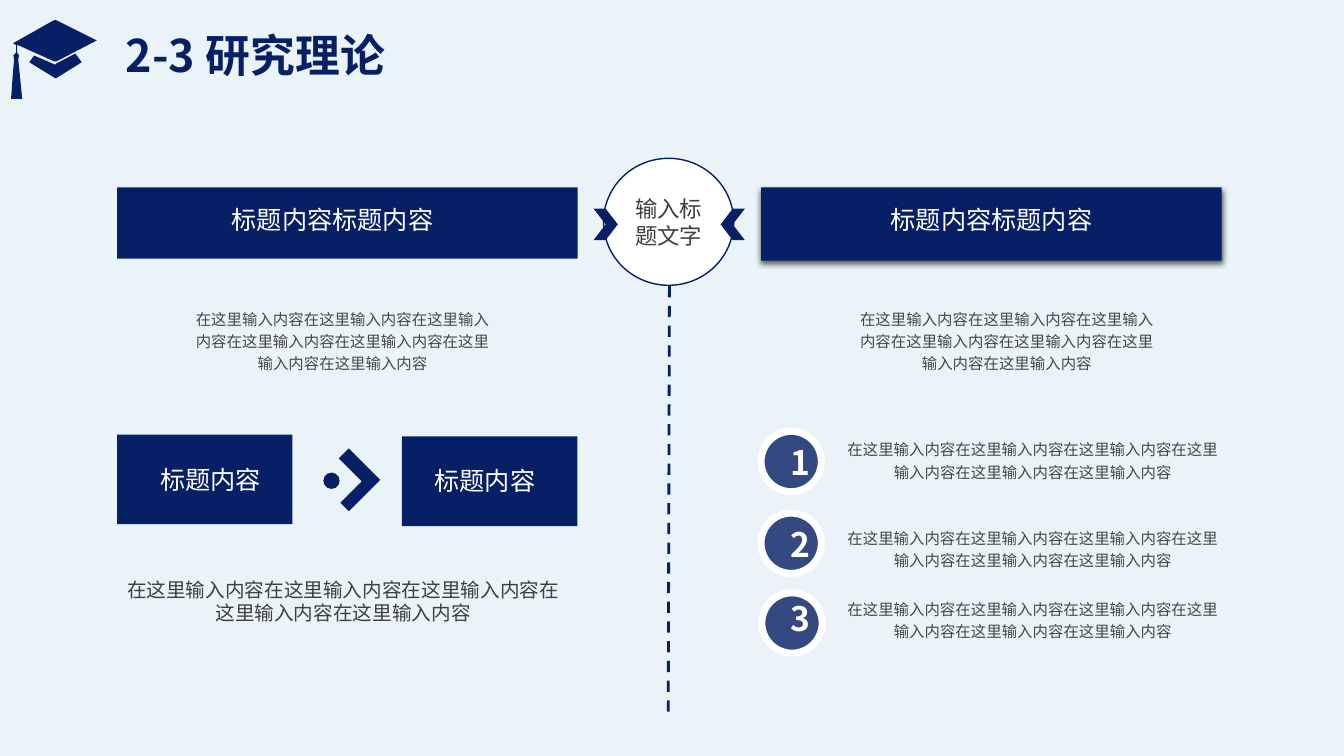
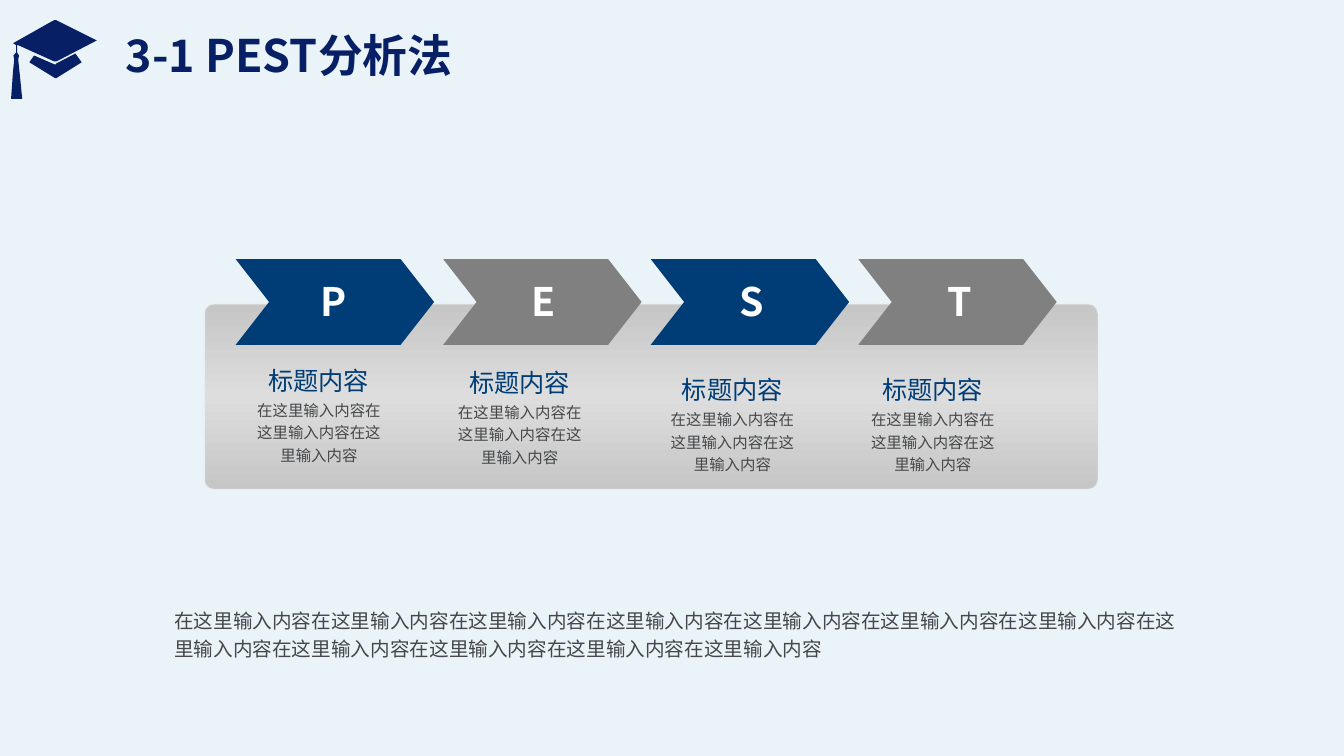
"""Build two thesis slides: research theory and PEST analysis."""
from copy import deepcopy

from lxml.etree import SubElement
from pptx import Presentation
from pptx.dml.color import RGBColor
from pptx.enum.dml import MSO_LINE
from pptx.enum.shapes import MSO_CONNECTOR, MSO_SHAPE as SHAPE
from pptx.enum.text import MSO_ANCHOR as ANCHOR, MSO_AUTO_SIZE as AUTO, PP_ALIGN as ALIGN
from pptx.oxml.ns import qn
from pptx.util import Cm, Pt

FONT = "Noto Sans CJK SC"
BACK = RGBColor(0xEA, 0xF4, 0xF8)
NAVY = RGBColor(0x07, 0x1F, 0x65)
BLUE = RGBColor(0x00, 0x3D, 0x76)
GRAY = RGBColor(0x80, 0x80, 0x80)
WHITE = RGBColor(0xFF, 0xFF, 0xFF)
DARK = RGBColor(0x3D, 0x3F, 0x41)
TEXT = RGBColor(0x45, 0x47, 0x49)
SILVER = RGBColor(0xC6, 0xC6, 0xC6)
LIGHT = RGBColor(0xDD, 0xDD, 0xDD)

PHRASE = "在这里输入内容"
HEAD = "标题内容"
CAP = [
    [(43, 114), (43, 132), (48, 140), (46, 150), (51, 198), (56, 249), (28, 249),
     (33, 178), (36, 150), (34, 140), (41, 132), (41, 114), (33, 109), (127, 56),
     (137, 51), (142, 51), (244, 102), (142, 155), (137, 155), (46, 114)],
    [(74, 157), (86, 140), (139, 163), (142, 160), (190, 135), (206, 157),
     (142, 197), (139, 197)],
]

BARS = [
    {"bar": (2.95, 4.72, 11.61, 1.8), "label": 5.79, "note": 4.85, "shadow": False},
    {"bar": (19.18, 4.72, 11.61, 1.85), "label": 22.4, "note": 21.59, "shadow": True},
]
STEPS = [((2.95, 10.95), (4.01, 11.71)), ((10.13, 11), (10.92, 11.73))]
POINTS = [
    ("1", (19.18, 10.87), 11.02, 11.02),
    ("2", (19.18, 12.93), 13.08, 13.26),
    ("3", (19.2, 14.94), 14.94, 15.04),
]
PEST = [
    ("P", BLUE, 6.2, (6.45, 10.01)),
    ("E", GRAY, 11.51, (11.51, 10.06)),
    ("S", BLUE, 16.74, (16.87, 10.24)),
    ("T", GRAY, 22, (21.92, 10.24)),
]

BODY = {"size": 11, "color": TEXT, "spacing": 1.2, "anchor": ANCHOR.MIDDLE, "inset": 0}
LABEL = {"size": 18, "anchor": ANCHOR.BOTTOM, "inset": 0, "wrap": False}
BADGE = {"color": WHITE, "bold": True}


def put_text(tf, text, size, color, bold=False, align=ALIGN.CENTER, spacing=None,
             anchor=ANCHOR.TOP, inset=None, wrap=True, auto=AUTO.NONE):
    frame = {"word_wrap": wrap, "vertical_anchor": anchor, "auto_size": auto}
    if inset is not None:
        frame.update({f"margin_{side}": Cm(inset) for side in ("left", "top", "right", "bottom")})
    p = tf.paragraphs[0]
    r = p.add_run()
    r.text = text
    r.font.color.rgb = color
    formats = [
        (tf, frame),
        (p, {"alignment": align, "line_spacing": spacing}),
        (r.font, {"size": Pt(size), "bold": bold, "name": FONT}),
    ]
    for target, values in formats:
        for key, value in values.items():
            setattr(target, key, value)
    SubElement(r.font._element, qn("a:ea"), typeface=FONT)


def add_text(s, box, text, **style):
    sp = s.shapes.add_textbox(*map(Cm, box))
    put_text(sp.text_frame, text, auto=AUTO.SHAPE_TO_FIT_TEXT, **style)


def set_alpha(parent, percent):
    for color in parent.iter(qn("a:srgbClr")):
        SubElement(color, qn("a:alpha"), val=str(percent * 1000))


def add_shape(s, kind, box, fill=NAVY, line=None, width=1, adj=(), rotation=0):
    sp = s.shapes.add_shape(kind, *map(Cm, box))
    sp.shadow.inherit = False
    sp.rotation = rotation
    for i, value in enumerate(adj):
        sp.adjustments[i] = value
    sp.fill.solid()
    sp.fill.fore_color.rgb = fill
    if line is None:
        sp.line.fill.background()
    else:
        sp.line.color.rgb = line
        sp.line.width = Pt(width)
    return sp


def add_shadow(sp):
    effects = sp._element.spPr.find(qn("a:effectLst"))
    shadow = SubElement(effects, qn("a:outerShdw"), blurRad=str(Pt(4.5)), dist=str(Pt(1.5)),
                        dir="5400000", algn="t", rotWithShape="0")
    SubElement(shadow, qn("a:srgbClr"), val="000000")
    set_alpha(shadow, 63)


def new_slide(prs, title):
    s = prs.slides.add_slide(prs.slide_layouts[5])
    for start, *rest in CAP:
        builder = s.shapes.build_freeform(*start, scale=Cm(0.01))
        builder.add_line_segments(rest, close=True)
        sp = builder.convert_to_shape()
        sp.shadow.inherit = False
        sp.fill.solid()
        sp.fill.fore_color.rgb = NAVY
        sp.line.fill.background()
    t = s.shapes.title
    t.left, t.top, t.width, t.height = map(Cm, (2.92, 0.23, 30.71, 1.96))
    put_text(t.text_frame, title, 32, NAVY, bold=True, align=ALIGN.LEFT, spacing=0.9,
             anchor=ANCHOR.BOTTOM)
    return s


def build_theory(prs):
    s = new_slide(prs, "2-3 研究理论")
    add_text(s, (2.72, 14.43, 11.86, 1.45), PHRASE * 5, size=14, color=DARK)

    divider = s.shapes.add_connector(MSO_CONNECTOR.STRAIGHT, *map(Cm, (16.87, 7.21, 16.84, 18.14)))
    divider.line.color.rgb = NAVY
    divider.line.width = Pt(2)
    divider.line.dash_style = MSO_LINE.DASH
    SubElement(divider._element.spPr, qn("a:effectLst"))

    hub = add_shape(s, SHAPE.OVAL, (15.21, 3.99, 3.28, 3.2), WHITE, NAVY)
    put_text(hub.text_frame, "输入标题文字", 16, DARK, anchor=ANCHOR.MIDDLE)
    for x, rotation in ((14.96, 0), (18.16, 180)):
        add_shape(s, SHAPE.CHEVRON, (x, 5.26, 0.61, 0.79), rotation=rotation)

    for bar in BARS:
        sp = add_shape(s, SHAPE.RECTANGLE, bar["bar"])
        if bar["shadow"]:
            add_shadow(sp)
        add_text(s, (bar["label"], 5.16, 5.13, 0.76), HEAD * 2, color=WHITE,
                 align=ALIGN.RIGHT, **LABEL)
        add_text(s, (bar["note"], 7.7, 7.57, 1.7), PHRASE * 7, **BODY)

    for box, label in STEPS:
        add_shape(s, SHAPE.RECTANGLE, (*box, 4.42, 2.26))
        add_text(s, (*label, 2.57, 0.76), HEAD, color=WHITE, align=ALIGN.RIGHT, **LABEL)
    add_shape(s, SHAPE.CORNER, (8.23, 11.53, 1.12, 1.12), adj=(0.32, 0.27), rotation=225)
    add_shape(s, SHAPE.OVAL, (8.15, 11.91, 0.41, 0.41))

    for number, disc, number_y, text_y in POINTS:
        sp = add_shape(s, SHAPE.OVAL, (*disc, 1.52, 1.52), line=WHITE, width=5)
        set_alpha(sp._element.spPr.find(qn("a:solidFill")), 80)
        add_text(s, (disc[0] + 0.48, number_y, 0.61, 1.27), number, size=24, **BADGE)
        add_text(s, (21.28, text_y, 9.5, 1.09), PHRASE * 6, **BODY)


def build_pest(prs):
    s = new_slide(prs, "3-1 PEST分析法")
    panel = add_shape(s, SHAPE.ROUNDED_RECTANGLE, (5.16, 7.67, 22.5, 4.65), line=LIGHT,
                      width=1.5, adj=(0.05,))
    set_alpha(panel._element.spPr.find(qn("a:ln")), 20)
    panel.fill.gradient()
    panel.fill.gradient_angle = 270
    for stop in panel.fill.gradient_stops:
        stop.color.rgb = SILVER
    first = panel._element.spPr.find(".//" + qn("a:gs"))
    middle = deepcopy(first)
    middle.set("pos", "50000")
    middle.find(qn("a:srgbClr")).set("val", str(LIGHT))
    first.addnext(middle)

    for i, (letter, color, letter_x, (x, y)) in enumerate(PEST):
        add_shape(s, SHAPE.CHEVRON, (5.94 + 5.23 * i, 6.53, 5, 2.16), color, adj=(0.39,))
        add_text(s, (letter_x, 6.86, 4.39, 1.45), letter, size=28, **BADGE)
        add_text(s, (x, y, 3.18, 1.7), PHRASE * 3, **BODY)
        add_text(s, (x + 0.3, y - 0.8, 2.57, 0.76), HEAD, color=BLUE, **LABEL)

    add_text(s, (4.14, 15.09, 26.09, 1.7), PHRASE * 12, size=14, color=TEXT,
             align=ALIGN.LEFT, spacing=1.2)


def main():
    prs = Presentation()
    prs.slide_width, prs.slide_height = Cm(33.87), Cm(19.05)
    fill = prs.slide_master.background.fill
    fill.solid()
    fill.fore_color.rgb = BACK
    build_theory(prs)
    build_pest(prs)
    prs.save("out.pptx")


if __name__ == "__main__":
    main()
